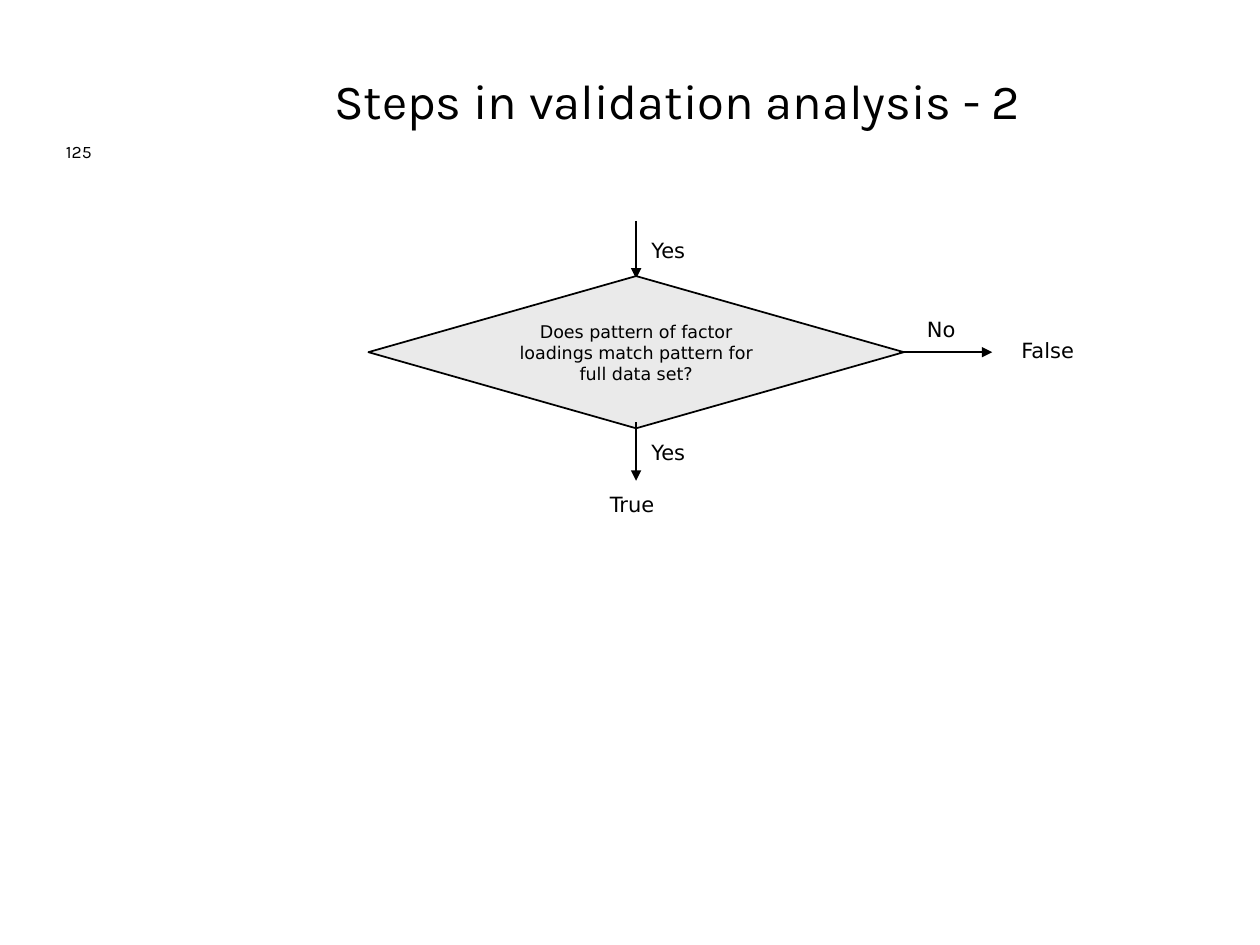
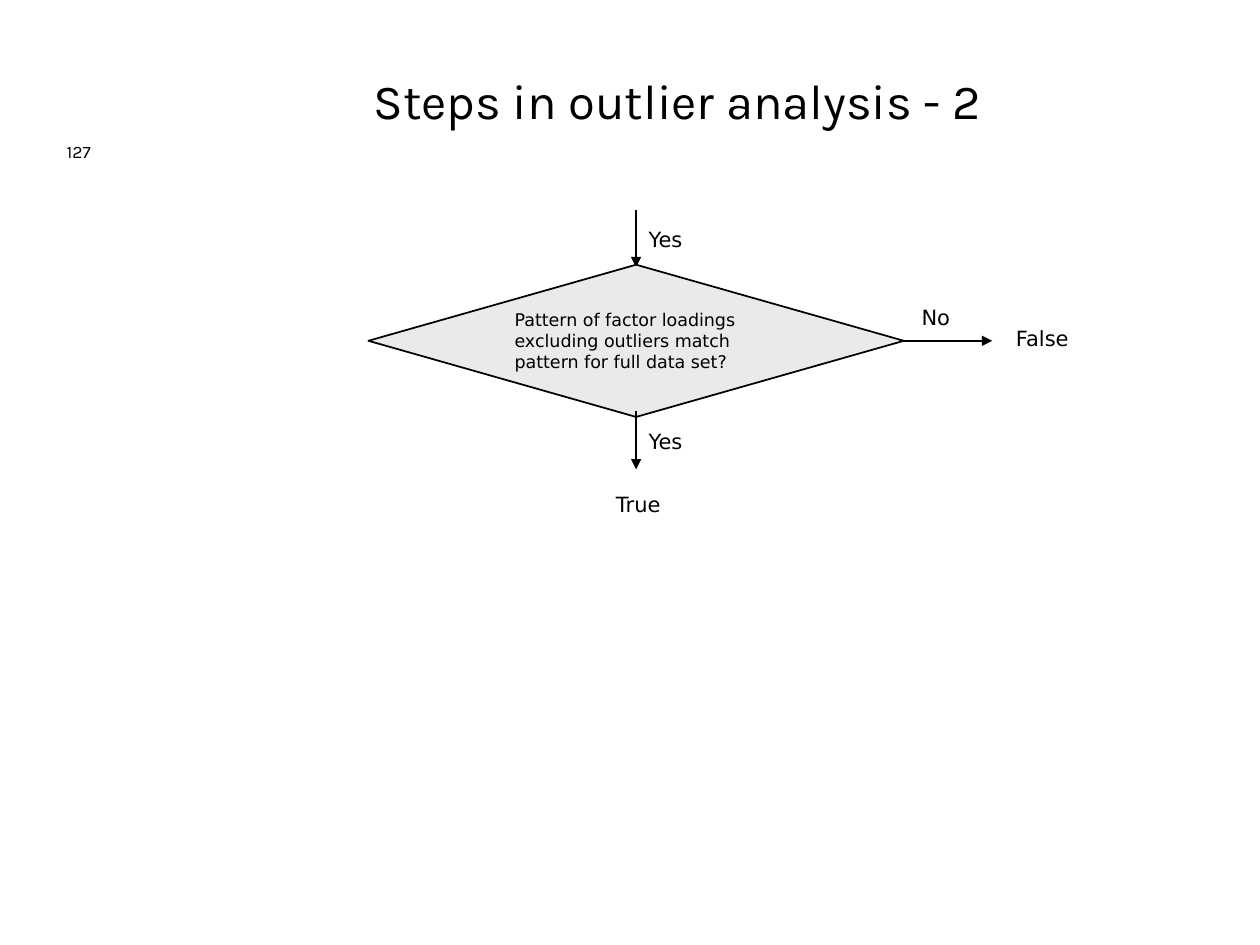
from pptx import Presentation
from pptx.dml.color import RGBColor
from pptx.enum.shapes import MSO_CONNECTOR as Connector, MSO_SHAPE as Shape
from pptx.enum.text import MSO_ANCHOR as Anchor, PP_ALIGN as Align
from pptx.oxml.ns import qn
from pptx.util import Pt
from lxml.etree import SubElement

BLACK = RGBColor(0x00, 0x00, 0x00)
DECISION_GREY = RGBColor(0xEA, 0xEA, 0xEA)
HEADING_FONT = "Karla"
CHART_FONT = "DejaVu Sans"

# Left, top, width, height in points
HEADER_BOX = (0, 24, 684, 72)
NUMBER_WIDTH = 90
DECISION_SIZE = (306, 87)
LABEL_HEIGHT = 21.6


def place(shape, left, top, width, height):
    shape.left, shape.top = Pt(left), Pt(top)
    shape.width, shape.height = Pt(width), Pt(height)


def write(shape, text, font, size, align, anchor):
    frame = shape.text_frame
    frame.word_wrap = True
    frame.vertical_anchor = anchor
    paragraph = frame.paragraphs[0]
    paragraph.text = text
    paragraph.alignment = align
    paragraph.font.name = font
    paragraph.font.size = Pt(size)
    paragraph.font.color.rgb = BLACK
    return paragraph


def add_label(shapes, text, left, top, width, align):
    label = shapes.add_textbox(Pt(left), Pt(top), Pt(width), Pt(LABEL_HEIGHT))
    write(label, text, CHART_FONT, 12, align, Anchor.TOP)


def add_arrow(shapes, start, end):
    arrow = shapes.add_connector(Connector.STRAIGHT, *map(Pt, start + end))
    arrow.line.color.rgb = BLACK
    arrow.line.width = Pt(1)
    line = arrow.line._get_or_add_ln()
    SubElement(line, qn("a:tailEnd"), type="triangle", w="med", len="med")
    SubElement(arrow._element.spPr, qn("a:effectLst"))


def add_branch(slide, start, end, text, label_left, label_top, align):
    """Arrow and its answer, grouped."""
    shapes = slide.shapes.add_group_shape().shapes
    add_arrow(shapes, start, end)
    add_label(shapes, text, label_left, label_top, 36.7, align)


def add_header(slide, box, title, number):
    left, top, width, height = box
    # Title beside the slide number
    heading = slide.shapes.title
    place(heading, left + NUMBER_WIDTH, top, width - NUMBER_WIDTH, height)
    paragraph = write(heading, title, HEADING_FONT, 28, Align.CENTER, Anchor.MIDDLE)
    paragraph.line_spacing = 0.85
    # Slide number
    number_box = slide.shapes.add_textbox(Pt(left), Pt(top), Pt(NUMBER_WIDTH), Pt(height))
    write(number_box, number, HEADING_FONT, 10, Align.CENTER, Anchor.BOTTOM)


def add_decision(slide, box, question, align, true_offset):
    left, top, width, height = box
    middle = left + width / 2
    right = left + width
    centre = top + height / 2

    # Incoming arrow
    add_branch(slide, (middle, top - 31.5), (middle, top + 1.5), "Yes",
               middle, top - 25.5, align)

    # Question
    diamond = slide.shapes.add_shape(Shape.FLOWCHART_DECISION, *map(Pt, box))
    diamond.shadow.inherit = False
    diamond.fill.solid()
    diamond.fill.fore_color.rgb = DECISION_GREY
    diamond.line.color.rgb = BLACK
    diamond.line.width = Pt(1)
    write(diamond, question, CHART_FONT, 10, align, Anchor.MIDDLE)

    # Outgoing arrows
    bottom = top + height
    add_branch(slide, (middle, bottom - 3.5), (middle, bottom + 30), "Yes",
               middle, bottom + 3, align)
    add_branch(slide, (right - 2.5, centre), (right + 50.5, centre), "No",
               right + 3, centre - 24, align)

    # Outcomes
    true_left, true_top = true_offset
    add_label(slide.shapes, "False", right + 57, centre - 12, 50.4, align)
    add_label(slide.shapes, "True", middle + true_left, bottom + true_top,
              50.4, Align.CENTER)


def main():
    presentation = Presentation()
    presentation.slide_width, presentation.slide_height = Pt(720), Pt(540)
    title_only = presentation.slide_layouts[5]
    # Title, number, question, alignment, diamond top, offset of "True"
    steps = [
        ("Steps in validation analysis - 2", "125",
         "Does pattern of factor loadings match pattern for full data set?",
         Align.CENTER, 157.75, (-27.5, 32.5)),
        ("Steps in outlier analysis - 2", "127",
         "Pattern of factor loadings excluding outliers match pattern for full data set?",
         Align.LEFT, 151.25, (-24, 39)),
    ]
    for title, number, question, align, top, true_offset in steps:
        slide = presentation.slides.add_slide(title_only)
        add_header(slide, HEADER_BOX, title, number)
        add_decision(slide, (210.5, top, *DECISION_SIZE), question, align, true_offset)
    presentation.save("out.pptx")


if __name__ == "__main__":
    main()
